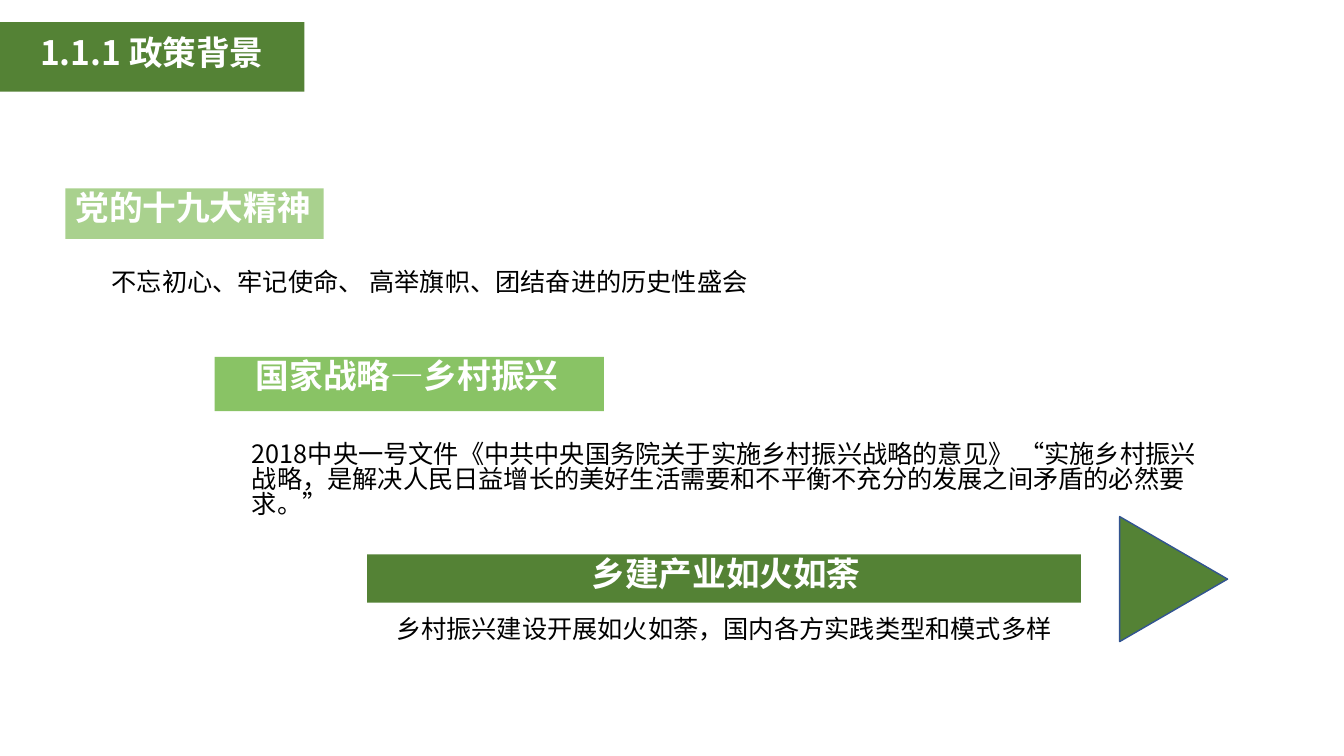
"""Build the policy background slide: a title tag, three stepped sections and an arrow."""
from lxml import etree
from pptx import Presentation
from pptx.dml.color import RGBColor
from pptx.enum import shapes, text
from pptx.oxml import ns
from pptx.util import Inches, Pt

FONT = "Noto Sans CJK SC"
WHITE = RGBColor(0xFF, 0xFF, 0xFF)
BLACK = RGBColor(0x00, 0x00, 0x00)
DARK_GREEN = RGBColor(0x54, 0x82, 0x35)
MID_GREEN = RGBColor(0x89, 0xC3, 0x65)
LIGHT_GREEN = RGBColor(0xA9, 0xD1, 0x8E)
OUTLINE_BLUE = RGBColor(0x32, 0x54, 0x91)

SECTIONS = [
    dict(box=(0.65, 1.87, 2.56, 0.5), fill=LIGHT_GREEN,
         heading="党的十九大精神", heading_dx=0, heading_w=2.56,
         body="不忘初心、牢记使命、 高举旗帜、团结奋进的历史性盛会",
         body_at=(0.36, 0.77, 6.58, 0.4), wrap=False),
    dict(box=(2.13, 3.54, 3.86, 0.54), fill=MID_GREEN,
         heading="国家战略—乡村振兴", heading_dx=0.31, heading_w=3.23,
         body="2018中央一号文件《中共中央国务院关于实施乡村振兴战略的意见》 "
              "“实施乡村振兴战略，是解决人民日益增长的美好生活需要和"
              "不平衡不充分的发展之间矛盾的必然要求。”",
         body_at=(0.27, 0.81, 9.77, 0.71), wrap=True),
    dict(box=(3.64, 5.5, 7.08, 0.48), fill=DARK_GREEN,
         heading="乡建产业如火如荼", heading_dx=2.13, heading_w=2.89,
         body="乡村振兴建设开展如火如荼，国内各方实践类型和模式多样",
         body_at=(0.19, 0.59, 6.78, 0.4), wrap=True),
]


def add_block(s, kind, box, fill):
    """Add a filled preset shape without outline or shadow."""
    sp = s.shapes.add_shape(kind, *map(Inches, box))
    sp.shadow.inherit = False
    sp.fill.solid()
    sp.fill.fore_color.rgb = fill
    sp.line.fill.background()
    return sp


def add_text(s, box, words, size, color, bold=False, wrap=False):
    """Add a text box holding one run."""
    tf = s.shapes.add_textbox(*map(Inches, box)).text_frame
    tf.word_wrap = wrap
    tf.auto_size = text.MSO_AUTO_SIZE.SHAPE_TO_FIT_TEXT
    p = tf.paragraphs[0]
    p.line_spacing = 0.83
    r = p.add_run()
    r.text = words
    r.font.size = Pt(size)
    r.font.bold = bold
    r.font.color.rgb = color
    r.font.name = FONT
    ea = etree.SubElement(r.font._element, ns.qn("a:ea"))
    ea.set("typeface", FONT)


def add_title(s, box):
    """Add the title tag at the slide edge."""
    x, y, w, h = box
    add_block(s, shapes.MSO_SHAPE.RECTANGLE, box, DARK_GREEN)
    add_text(s, (x + 0.3, y + 0.12, 5.44, 0.5), "1.1.1 政策背景", 24, WHITE, True, True)


def add_section(s, box, fill, heading, heading_dx, heading_w, body, body_at, wrap):
    """Add a heading bar with its body text below."""
    x, y, w, h = box
    dx, dy, body_w, body_h = body_at
    add_block(s, shapes.MSO_SHAPE.RECTANGLE, box, fill)
    add_text(s, (x + heading_dx, y, heading_w, 0.5), heading, 24, WHITE, True)
    add_text(s, (x + dx, y + dy, body_w, body_h), body, 18, BLACK, wrap=wrap)


def add_pointer(s, box):
    """Add the triangle pointing right."""
    sp = add_block(s, shapes.MSO_SHAPE.ISOSCELES_TRIANGLE, box, DARK_GREEN)
    sp.rotation = 90
    sp.line.color.rgb = OUTLINE_BLUE
    sp.line.width = Pt(1)


def main():
    """Build and save the slide."""
    prs = Presentation()
    prs.slide_width, prs.slide_height = Inches(13.33), Inches(7.5)
    s = prs.slides.add_slide(prs.slide_layouts[6])
    add_title(s, (0, 0.22, 3.02, 0.69))
    for section in SECTIONS:
        add_section(s, **section)
    add_pointer(s, (11.02, 5.21, 1.24, 1.07))
    prs.save("out.pptx")


if __name__ == "__main__":
    main()
